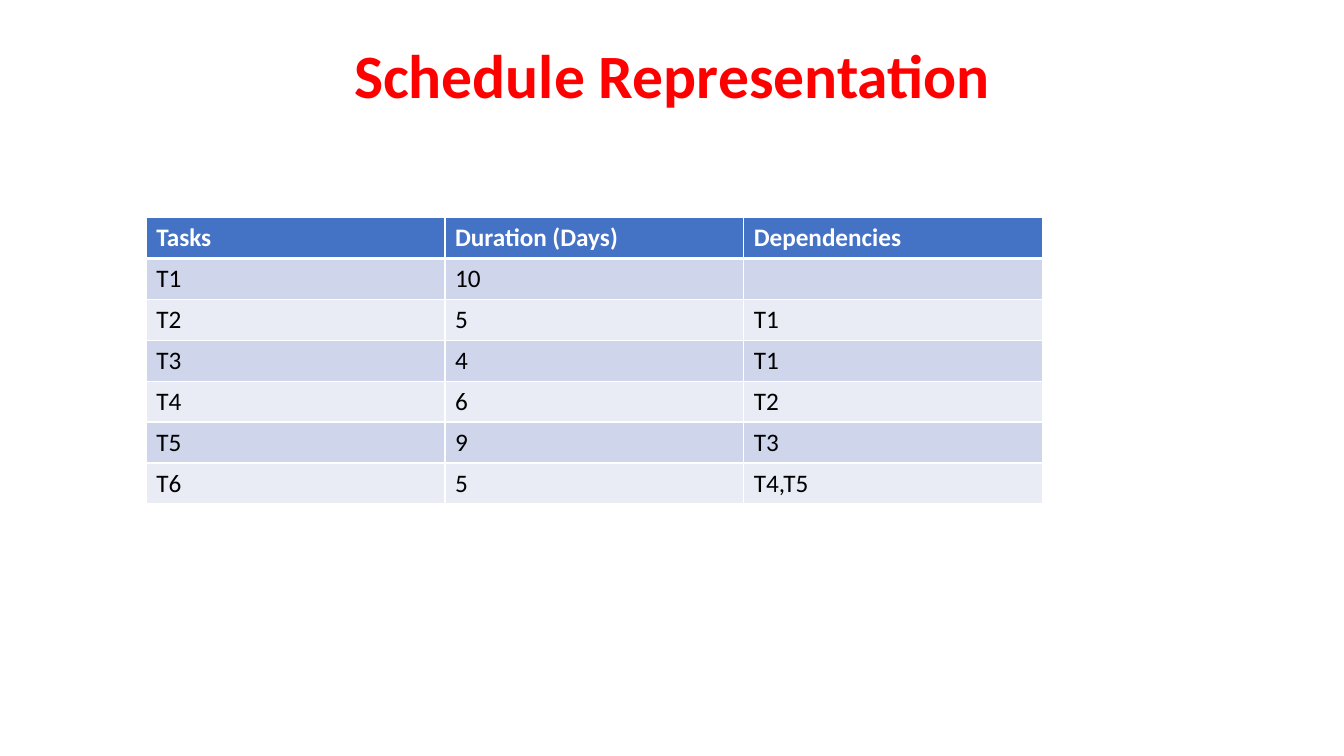
from dataclasses import dataclass

from lxml import etree
from pptx import Presentation
from pptx.dml.color import RGBColor
from pptx.enum.text import MSO_ANCHOR, PP_ALIGN
from pptx.oxml.ns import qn
from pptx.util import Inches, Pt

TOP = MSO_ANCHOR.TOP
CENTER = PP_ALIGN.CENTER

SCHEDULE = [
    ("Tasks", "Duration (Days)", "Dependencies"),
    ("T1", "10", ""),
    ("T2", "5", "T1"),
    ("T3", "4", "T1"),
    ("T4", "6", "T2"),
    ("T5", "9", "T3"),
    ("T6", "5", "T4,T5"),
]


@dataclass(frozen=True)
class Theme:
    font: str = "Calibri"
    title_size: int = 44
    table_size: int = 18
    title_color: str = "FF0000"
    header_fill: str = "4472C4"
    header_text: str = "FFFFFF"
    body_text: str = "000000"
    band_fills: tuple = ("E9EBF5", "CFD5EA")
    border_color: str = "FFFFFF"
    border_width: int = 1
    header_rule: int = 3


class SlideBuilder:
    def __init__(self, slide, theme):
        self.slide = slide
        self.theme = theme

    def format_runs(self, paragraph, size, color, bold):
        for run in paragraph.runs:
            run.font.name = self.theme.font
            run.font.size = Pt(size)
            run.font.bold = bold
            run.font.color.rgb = RGBColor.from_string(color)

    def add_title(self, text, left, top, width, height):
        shape = self.slide.shapes.add_textbox(
            Inches(left), Inches(top), Inches(width), Inches(height)
        )
        text_frame = shape.text_frame
        text_frame.word_wrap = True
        text_frame.vertical_anchor = TOP
        text_frame.text = text
        paragraph = text_frame.paragraphs[0]
        paragraph.alignment = CENTER
        paragraph.line_spacing = 0.9
        self.format_runs(paragraph, self.theme.title_size, self.theme.title_color, True)

    def add_table(self, rows, left, top, width, height):
        table = self.slide.shapes.add_table(
            len(rows), len(rows[0]),
            Inches(left), Inches(top), Inches(width), Inches(height),
        ).table
        for row_index, row in enumerate(rows):
            for column_index, text in enumerate(row):
                self.style_cell(table.cell(row_index, column_index), text, row_index)

    def style_cell(self, cell, text, row_index):
        theme = self.theme
        header = row_index == 0
        fill = theme.header_fill if header else theme.band_fills[row_index % 2]
        color = theme.header_text if header else theme.body_text
        cell.text_frame.text = text
        paragraph = cell.text_frame.paragraphs[0]
        paragraph.font.size = Pt(theme.table_size)
        self.format_runs(paragraph, theme.table_size, color, header)
        cell.fill.solid()
        cell.fill.fore_color.rgb = RGBColor.from_string(fill)
        self.set_borders(cell, row_index)

    def set_borders(self, cell, row_index):
        theme = self.theme
        widths = dict.fromkeys(("lnL", "lnR", "lnT", "lnB"), theme.border_width)
        if row_index == 0:
            widths["lnB"] = theme.header_rule
        elif row_index == 1:
            widths["lnT"] = theme.header_rule
        properties = cell._tc.get_or_add_tcPr()
        for position, (edge, width) in enumerate(widths.items()):
            line = etree.Element(qn(f"a:{edge}"), w=str(Pt(width)))
            solid = etree.SubElement(line, qn("a:solidFill"))
            etree.SubElement(solid, qn("a:srgbClr"), val=theme.border_color)
            properties.insert(position, line)


def main():
    presentation = Presentation()
    presentation.slide_width = Inches(13.33)
    presentation.slide_height = Inches(7.5)
    slide = presentation.slides.add_slide(presentation.slide_layouts[6])
    builder = SlideBuilder(slide, Theme())
    builder.add_title("Schedule Representation", 0.92, 0.4, 11.5, 1.45)
    builder.add_table(SCHEDULE, 1.45, 2.16, 8.89, 2.84)
    presentation.save("out.pptx")


if __name__ == "__main__":
    main()
